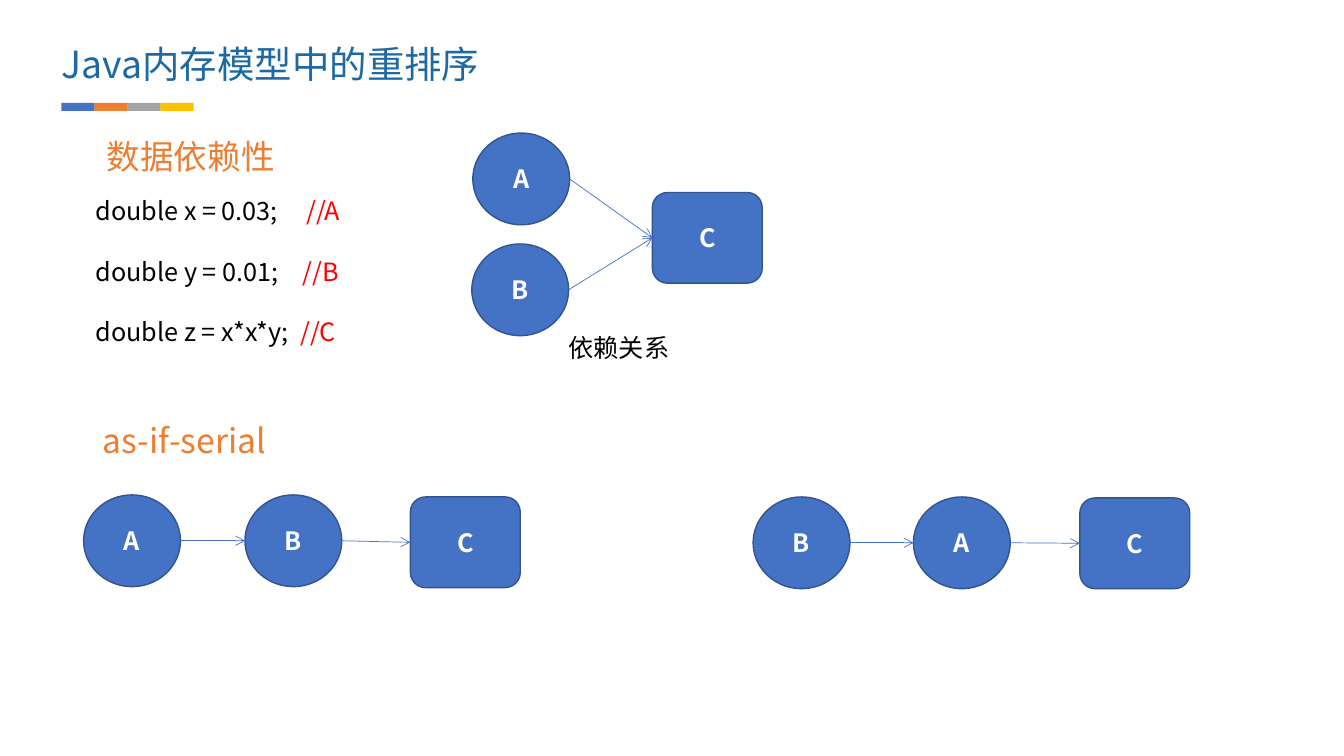
from lxml.etree import SubElement
from pptx import Presentation
from pptx.dml.color import RGBColor
from pptx.enum.shapes import MSO_CONNECTOR, MSO_SHAPE
from pptx.enum.text import MSO_ANCHOR, PP_ALIGN
from pptx.oxml.ns import qn
from pptx.util import Inches, Pt

# Content
FONT = "Noto Sans CJK SC"
HUE = {"blue": "4472C4", "orange": "ED7D31", "gray": "A5A5A5", "gold": "FFC000",
       "edge": "325491", "title": "1D69A3", "red": "FF0000",
       "black": "000000", "white": "FFFFFF"}
TITLE = "Java内存模型中的重排序"
BARS = ["blue", "orange", "gray", "gold"]
LABELS = [  # text, left, top, width, height, size, colour, wrap
    ("数据依赖性", 0.96, 1.3, 2.05, 0.5, 24, "orange", True),
    ("as-if-serial", 0.92, 4.12, 2.05, 0.5, 24, "orange", True),
    ("依赖关系", 5.54, 3.25, 1.21, 0.4, 18, "black", False),
]
CODE = [  # statement, mark, tab stop of the mark
    ("double x = 0.03;", "//A", 2.09),
    ("double y = 0.01;", "//B", 2.05),
    ("double z = x*x*y;", "//C", 2.03),
]
ROUND = (MSO_SHAPE.OVAL, 0.96, 0.91)
BOX = (MSO_SHAPE.ROUNDED_RECTANGLE, 1.09, 0.9)
GRAPHS = [  # nodes as (name, kind, left, top), arrows as node pairs
    ([("A", ROUND, 4.69, 1.32), ("B", ROUND, 4.68, 2.42), ("C", BOX, 6.47, 1.91)],
     [(0, 2), (1, 2)]),
    ([("A", ROUND, 0.83, 4.91), ("B", ROUND, 2.43, 4.91), ("C", BOX, 4.07, 4.93)],
     [(0, 1), (1, 2)]),
    ([("B", ROUND, 7.47, 4.93), ("A", ROUND, 9.06, 4.93), ("C", BOX, 10.71, 4.94)],
     [(0, 1), (1, 2)]),
]

deck = Presentation()
deck.slide_width, deck.slide_height = Inches(13.33), Inches(7.5)
slide = deck.slides.add_slide(deck.slide_layouts[5])
shapes = slide.shapes


def rgb(name):
    return RGBColor.from_string(HUE[name])


def style(font, size, hue, bold=False):
    font.name, font.size, font.bold = FONT, Pt(size), bold
    font.color.rgb = rgb(hue)
    # East Asian text needs its own font entry
    SubElement(font._element, qn("a:ea")).set("typeface", FONT)


def add_form(kind, left, top, wide, high, hue):
    form = shapes.add_shape(kind, *map(Inches, (left, top, wide, high)))
    form.shadow.inherit = False
    form.fill.solid()
    form.fill.fore_color.rgb = rgb(hue)
    return form


def add_node(name, kind, left, top):
    shape, wide, high = kind
    node = add_form(shape, left, top, wide, high, "blue")
    node.line.color.rgb, node.line.width = rgb("edge"), Pt(1)
    frame = node.text_frame
    frame.vertical_anchor = MSO_ANCHOR.MIDDLE
    para = frame.paragraphs[0]
    para.text, para.alignment = name, PP_ALIGN.CENTER
    style(para.font, 18, "white", True)
    return node


def add_arrow(start, end):
    line = shapes.add_connector(
        MSO_CONNECTOR.STRAIGHT,
        start.left + start.width, start.top + start.height // 2,
        end.left, end.top + end.height // 2)
    line.line.color.rgb, line.line.width = rgb("blue"), Pt(0.5)
    SubElement(line.line._get_or_add_ln(), qn("a:tailEnd")).set("type", "arrow")
    SubElement(line._element.spPr, qn("a:effectLst"))


# Title
title = shapes.title
title.left, title.top, title.width, title.height = map(Inches, (0.61, 0.41, 5.01, 0.45))
frame = title.text_frame
frame.margin_left = frame.margin_right = frame.margin_top = frame.margin_bottom = 0
frame.vertical_anchor = MSO_ANCHOR.TOP
para = frame.paragraphs[0]
para.text, para.alignment = TITLE, PP_ALIGN.LEFT
style(para.font, 26.7, "title")

# Colour bars under the title
for i, hue in enumerate(BARS):
    bar = add_form(MSO_SHAPE.RECTANGLE, 0.61 + i * 0.327, 1.02, 0.33, 0.08, hue)
    bar.line.fill.background()

# Headings and caption
for text, left, top, wide, high, size, hue, wrap in LABELS:
    frame = shapes.add_textbox(*map(Inches, (left, top, wide, high))).text_frame
    frame.word_wrap = wrap
    para = frame.paragraphs[0]
    para.text = text
    style(para.font, size, hue)

# Code lines with their marks
frame = shapes.add_textbox(*map(Inches, (0.85, 1.89, 2.65, 1.62))).text_frame
frame.word_wrap = False
for i, (text, mark, stop) in enumerate(CODE):
    para = frame.add_paragraph() if i else frame.paragraphs[0]
    para.line_spacing = Pt(21.6)
    if i:
        para.space_before = Pt(21.6)
    tabs = SubElement(para._p.get_or_add_pPr(), qn("a:tabLst"))
    tab = SubElement(tabs, qn("a:tab"))
    tab.set("pos", str(Inches(stop)))
    tab.set("algn", "l")
    for part, hue in ((text + "\t", "black"), (mark, "red")):
        run = para.add_run()
        run.text = part
        style(run.font, 18, hue)

# Dependency graph and the two serial orders
for nodes, arrows in GRAPHS:
    made = [add_node(*node) for node in nodes]
    for start, end in arrows:
        add_arrow(made[start], made[end])

deck.save("out.pptx")
